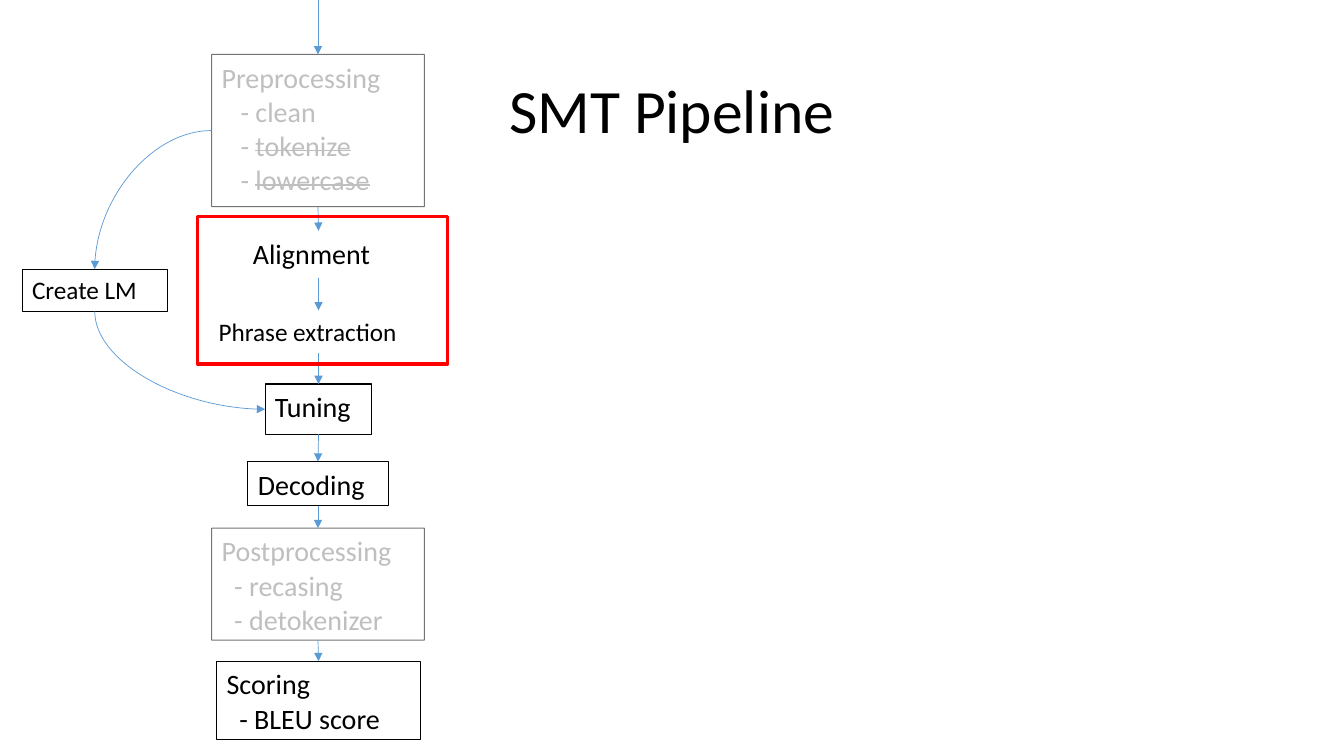
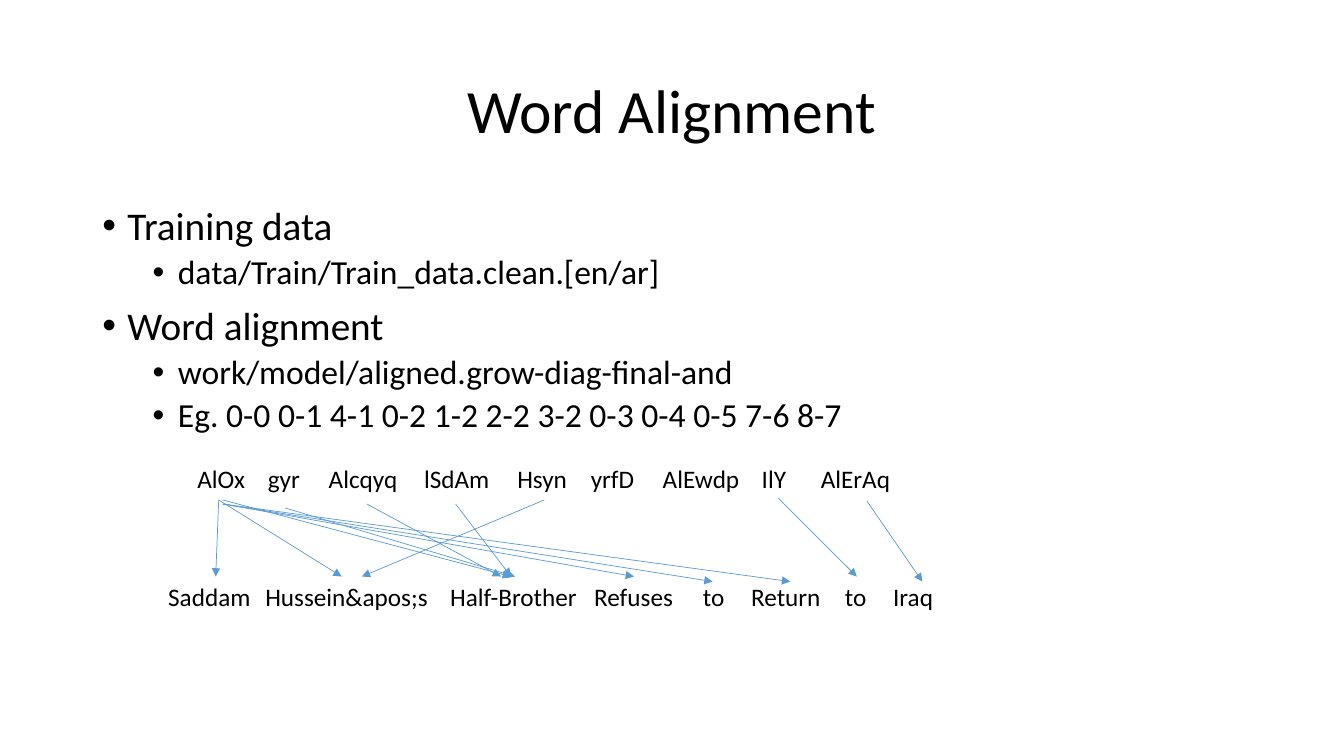
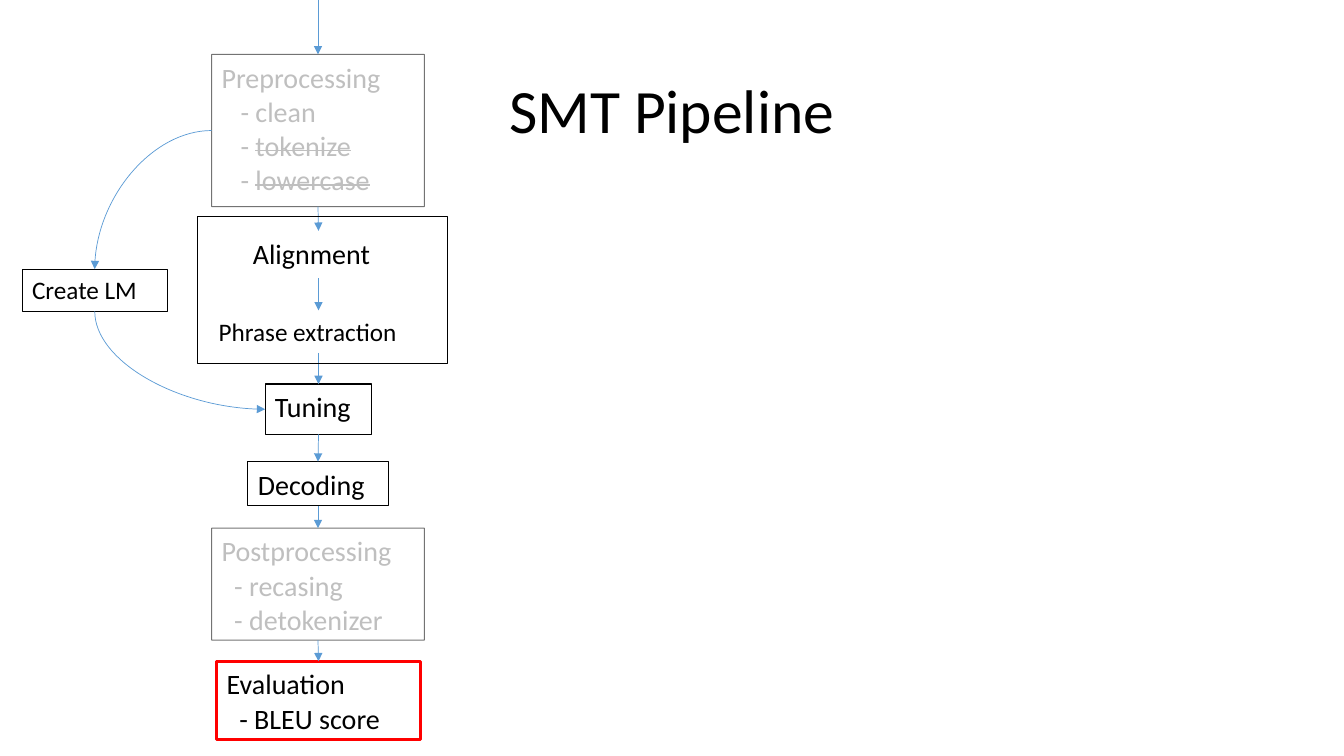
import itertools

import lxml.etree
import pptx
import pptx.dml.color
import pptx.enum.shapes
import pptx.enum.text
import pptx.oxml.ns
import pptx.util

COLUMNS, ROWS = 80, 45
BLACK, GREY, BLUE, RED = "000000", "BFBFBF", "5B9BD5", "FF0000"
TOP, LEFT, BOTTOM = 0, 1, 2
SHAPE = pptx.enum.shapes.MSO_SHAPE
CONNECTOR = pptx.enum.shapes.MSO_CONNECTOR
ANCHOR = pptx.enum.text.MSO_ANCHOR
ALIGN = pptx.enum.text.PP_ALIGN
INSET = 0.6


def color(code):
    """Turn a hex string into a colour."""
    return pptx.dml.color.RGBColor.from_string(code)


def apply(target, values):
    """Set each named attribute of the target."""
    for name, value in values.items():
        setattr(target, name, value)


def child(parent, tag, **attributes):
    """Append a DrawingML element to its parent."""
    element = lxml.etree.SubElement(parent, pptx.oxml.ns.qn(tag))
    for name, value in attributes.items():
        element.set(name, str(value))
    return element


def site(box, side):
    """Give the middle point of one side of a box."""
    middle_x, middle_y = box.left + box.width // 2, box.top + box.height // 2
    return {
        TOP: (middle_x, box.top),
        LEFT: (box.left, middle_y),
        BOTTOM: (middle_x, box.top + box.height),
    }[side]


class Painter:
    """Holds the deck style and draws on the current slide."""

    def __init__(self, deck):
        self.deck = deck
        self.page = None
        self.cell_width = deck.slide_width / COLUMNS
        self.cell_height = deck.slide_height / ROWS

    def x(self, columns):
        """Convert columns to a length."""
        return pptx.util.Emu(round(columns * self.cell_width))

    def y(self, rows):
        """Convert rows to a length."""
        return pptx.util.Emu(round(rows * self.cell_height))

    def area(self, left, top, width, height):
        """Convert a grid area to lengths."""
        return self.x(left), self.y(top), self.x(width), self.y(height)

    def new_page(self, title):
        """Start a blank slide with a centred title."""
        self.page = self.deck.slides.add_slide(self.deck.slide_layouts[6])
        box = self.text_box((5.5, 2.4, 69, 8.7))
        box.text_frame.vertical_anchor = ANCHOR.MIDDLE
        self.add_text(box, title, 44, alignment=ALIGN.CENTER, line_spacing=0.9)

    def text_box(self, area):
        """Add an empty wrapping text box."""
        box = self.page.shapes.add_textbox(*self.area(*area))
        box.text_frame.word_wrap = True
        return box

    def add_text(self, box, text, size, ink=BLACK, indent=0, struck="", **layout):
        """Add one paragraph, with an optional struck-out ending."""
        para = box.text_frame.paragraphs[0]
        if para.runs:
            para = box.text_frame.add_paragraph()
        apply(para, layout)
        if indent:
            para._p.get_or_add_pPr().set("marL", str(self.x(indent)))
        for part in filter(None, (text, struck)):
            span = para.add_run()
            span.text = part
            apply(span.font, {"name": "Calibri", "size": pptx.util.Pt(size)})
            span.font.color.rgb = color(ink)
            if part == struck:
                span._r.get_or_add_rPr().set("strike", "sngStrike")
        return para

    def frame(self, area, ink=BLACK, weight=0.74, opacity=None):
        """Add an unfilled rectangle."""
        box = self.page.shapes.add_shape(SHAPE.RECTANGLE, *self.area(*area))
        box.shadow.inherit = False
        box.fill.background()
        box.line.color.rgb = color(ink)
        box.line.width = pptx.util.Pt(weight)
        if opacity:
            tint = box.line._ln.find(".//" + pptx.oxml.ns.qn("a:srgbClr"))
            child(tint, "a:alpha", val=opacity * 1000)
        apply(box.text_frame, {"word_wrap": True, "vertical_anchor": ANCHOR.TOP})
        return box

    def step(self, area, heading, items=(), size=20, ink=BLACK, indent=0,
             border=None):
        """Add a step with a heading, (text, struck) items and a border."""
        box = self.text_box(area) if border is None else self.frame(area, **border)
        layout = {"line_spacing": 1.02, "alignment": ALIGN.LEFT}
        self.add_text(box, heading, size, ink, **layout)
        for text, struck in items:
            self.add_text(box, "- " + text, size, ink, indent, struck, **layout)
        return box

    def bullets(self, area, items):
        """Add a bulleted list of (level, text) items."""
        box = self.text_box(area)
        for level, text in items:
            para = self.add_text(
                box, text, 24 if level else 28, indent=4.5 if level else 1.5,
                level=level, line_spacing=0.9,
                space_before=pptx.util.Pt(5 if level else 10))
            properties = para._p.get_or_add_pPr()
            properties.set("indent", str(-self.x(1.5)))
            child(properties, "a:buFont", typeface="Arial")
            child(properties, "a:buChar", char="\u2022")

    def word_row(self, area, words):
        """Add a line of words, each at its own column."""
        box = self.text_box(area)
        para = self.add_text(box, "\t".join(word for word, _ in words), 18)
        stops = child(para._p.get_or_add_pPr(), "a:tabLst")
        for _, column in words[1:]:
            child(stops, "a:tab", pos=self.x(column - area[0] - INSET), algn="l")

    def connector(self, kind, begin, end):
        """Add a thin blue connector with an arrowhead."""
        line = self.page.shapes.add_connector(kind, *begin, *end)
        line.line.color.rgb = color(BLUE)
        line.line.width = pptx.util.Pt(0.5)
        child(line.line._ln, "a:tailEnd", type="triangle")
        child(line._element.spPr, "a:effectLst")
        return line

    def arrow(self, begin_x, begin_y, end_x, end_y):
        """Add a straight arrow between two grid points."""
        self.connector(CONNECTOR.STRAIGHT, (self.x(begin_x), self.y(begin_y)),
                       (self.x(end_x), self.y(end_y)))

    def join(self, first, first_side, second, second_side,
             kind=CONNECTOR.STRAIGHT):
        """Glue an arrow to the sides of two boxes."""
        line = self.connector(kind, site(first, first_side),
                              site(second, second_side))
        line.begin_connect(first, first_side)
        line.end_connect(second, second_side)
        if kind == CONNECTOR.CURVE:
            outline = line._element.spPr.find(pptx.oxml.ns.qn("a:prstGeom"))
            outline.set("prst", "curvedConnector2")
            if first_side == BOTTOM:
                self.quarter_turn(line)

    def quarter_turn(self, line):
        """Make a curve leave downwards and arrive sideways."""
        width, height = line.width, line.height
        shift = (width - height) // 2
        apply(line, {"left": line.left + shift, "top": line.top - shift,
                     "width": height, "height": width})
        transform = line._element.spPr.find(pptx.oxml.ns.qn("a:xfrm"))
        transform.set("rot", str(270 * 60000))
        transform.set("flipH", "1")


def pipeline_page(painter, last_step, training_border, last_border):
    """Draw the pipeline with the given last step and borders."""
    painter.new_page("SMT Pipeline")
    muted = {"ink": GREY, "border": {"opacity": 54}}
    plain = {"border": {}}

    preprocessing = painter.step(
        (12.6, 3.24, 12.66, 9.06), "Preprocessing",
        [("clean", ""), ("", "tokenize"), ("", "lowercase")], indent=1.13, **muted)
    alignment = painter.step((14.46, 13.74, 9, 2.82), "Alignment")
    extraction = painter.step((12.42, 18.48, 13.08, 2.52), "Phrase extraction",
                              size=18)
    tuning = painter.step((15.78, 22.86, 6.36, 3), "Tuning", **plain)
    decoding = painter.step((14.76, 27.48, 8.34, 2.64), "Decoding", **plain)
    postprocessing = painter.step(
        (12.6, 31.44, 12.66, 6.66), "Postprocessing",
        [("recasing", ""), ("detokenizer", "")], indent=0.75, **muted)
    scoring = painter.step((12.9, 39.36, 12.12, 4.68), last_step,
                           [("BLEU score", "")], indent=0.75, border=last_border)

    painter.arrow(18.93, 0, 18.93, 3.24)
    stack = (preprocessing, alignment, extraction, tuning, decoding,
             postprocessing, scoring)
    for upper, lower in itertools.pairwise(stack):
        painter.join(upper, BOTTOM, lower, TOP)

    language_model = painter.step((1.32, 16.02, 8.64, 2.52), "Create LM",
                                  size=18, **plain)
    painter.join(preprocessing, LEFT, language_model, TOP, CONNECTOR.CURVE)
    painter.join(language_model, BOTTOM, tuning, LEFT, CONNECTOR.CURVE)
    painter.frame((11.76, 12.9, 14.88, 8.76), **training_border)


def alignment_page(painter):
    """Draw the word alignment example."""
    painter.new_page("Word Alignment")
    painter.bullets((5.5, 12, 69, 28.56), [
        (0, "Training data"),
        (1, "data/Train/Train_data.clean.[en/ar]"),
        (0, "Word alignment"),
        (1, "work/model/aligned.grow-diag-final-and"),
        (1, "Eg. 0-0 0-1 4-1 0-2 1-2 2-2 3-2 0-3 0-4 0-5 7-6 8-7"),
    ])
    painter.word_row((11.16, 27.3, 48.54, 2.4), [
        ("AlOx", 11.76), ("gyr", 15.95), ("Alcqyq", 19.58), ("lSdAm", 25.25),
        ("Hsyn", 30.8), ("yrfD", 35.18), ("AlEwdp", 39.46), ("IlY", 45.35),
        ("AlErAq", 48.87)])
    painter.word_row((9.42, 34.32, 47.52, 2.4), [
        ("Saddam", 10.02), ("Hussein&apos;s", 15.8), ("Half-Brother", 26.8),
        ("Refuses", 35.38), ("to", 41.85), ("Return", 44.72), ("to", 50.3),
        ("Iraq", 53.17)])
    links = [
        (13.02, 29.76, 12.84, 34.32), (13.02, 29.76, 20.34, 34.32),
        (32.4, 29.76, 21.54, 34.32), (13.26, 29.76, 30.42, 34.32),
        (16.98, 30.24, 30.66, 34.32), (21.84, 30, 29.82, 34.32),
        (27.12, 30, 30.42, 34.32), (13.26, 30, 37.74, 34.32),
        (13.26, 30, 42.42, 34.62), (13.26, 30, 47.04, 34.62),
        (46.32, 29.64, 51, 34.32), (51.6, 29.82, 54.9, 34.62),
    ]
    for link in links:
        painter.arrow(*link)


def main():
    """Build and save the deck."""
    deck = pptx.Presentation()
    deck.slide_width = pptx.util.Emu(12192000)
    deck.slide_height = pptx.util.Inches(7.5)
    painter = Painter(deck)
    pipeline_page(painter, "Scoring", {"ink": RED, "weight": 2.5}, {})
    alignment_page(painter)
    pipeline_page(painter, "Evaluation", {"weight": 0.75},
                  {"ink": RED, "weight": 2})
    deck.save("out.pptx")


main()
